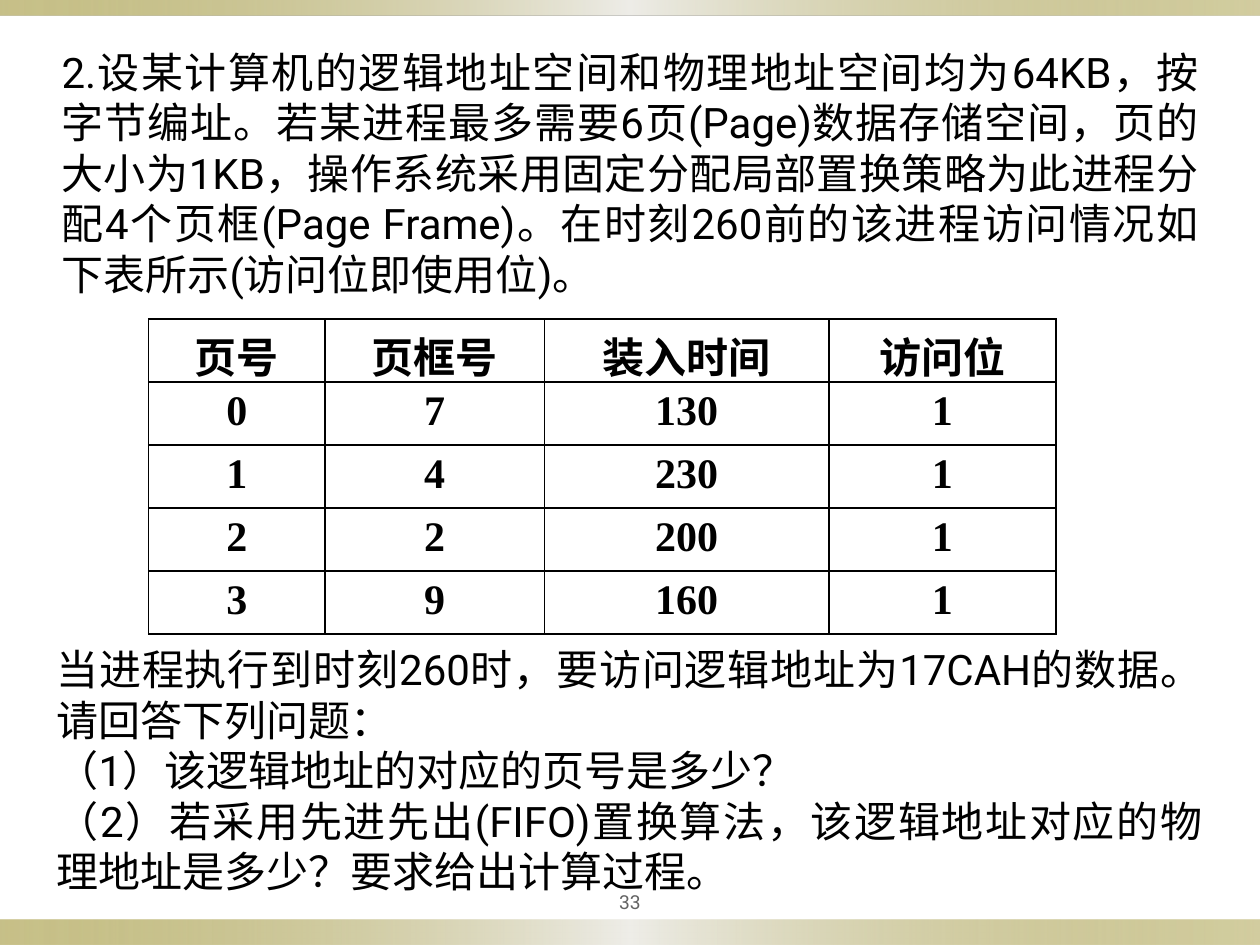
"""Build an exercise slide about page replacement with a page table."""
from dataclasses import dataclass

from lxml.etree import SubElement
from pptx import Presentation
from pptx.dml.color import RGBColor
from pptx.enum.shapes import MSO_SHAPE
from pptx.enum.text import MSO_ANCHOR, PP_ALIGN
from pptx.oxml import parse_xml
from pptx.oxml.ns import nsdecls, qn
from pptx.util import Inches, Pt

SLIDE_WIDTH, SLIDE_HEIGHT = Inches(10), Inches(7.5)
BLACK = RGBColor(0x00, 0x00, 0x00)
GRAY = RGBColor(0x63, 0x63, 0x63)
OLIVE = RGBColor(0x91, 0x84, 0x15)
SILVER = RGBColor(0xEE, 0xED, 0xE8)
BAND_STOPS = ((0, OLIVE, 50), (50, SILVER, 100), (100, OLIVE, 40))
COLUMN_WIDTHS = (1.4, 1.74, 2.26, 1.8)
ROW_HEIGHT = 0.5
PAGE_TABLE = (
    ("页号", "页框号", "装入时间", "访问位"),
    ("0", "7", "130", "1"),
    ("1", "4", "230", "1"),
    ("2", "2", "200", "1"),
    ("3", "9", "160", "1"),
)


@dataclass(frozen=True)
class Area:
    """A rectangle given in percent of the slide's width and height."""
    left: float
    top: float
    width: float
    height: float

    def lengths(self) -> tuple:
        """Return left, top, width and height as lengths."""
        return (int(SLIDE_WIDTH * self.left / 100), int(SLIDE_HEIGHT * self.top / 100),
                int(SLIDE_WIDTH * self.width / 100), int(SLIDE_HEIGHT * self.height / 100))


@dataclass(frozen=True)
class TextBlock:
    """Paragraphs that share one area and one format."""
    area: Area
    paragraphs: tuple
    size: int = 24
    color: RGBColor = BLACK
    alignment: PP_ALIGN = PP_ALIGN.JUSTIFY
    anchor: MSO_ANCHOR = MSO_ANCHOR.TOP


BANDS = (Area(0, 97.33, 100, 2.67), Area(0, 0, 100, 1.6))
TABLE_AREA = Area(11.8, 33.73, 72, 33.33)
TEXT_BLOCKS = (
    TextBlock(Area(45, 93.33, 10, 4.13), ("33",), 11, GRAY, PP_ALIGN.CENTER, MSO_ANCHOR.MIDDLE),
    TextBlock(Area(3.9, 4.27, 92.2, 28.27), (
        "2.设某计算机的逻辑地址空间和物理地址空间均为64KB，按字节编址。"
        "若某进程最多需要6页(Page)数据存储空间，页的大小为1KB，"
        "操作系统采用固定分配局部置换策略为此进程分配4个页框(Page Frame)。"
        "在时刻260前的该进程访问情况如下表所示(访问位即使用位)。",)),
    TextBlock(Area(3.5, 67.47, 92.9, 28.27), (
        "当进程执行到时刻260时，要访问逻辑地址为17CAH的数据。请回答下列问题：",
        "（1）该逻辑地址的对应的页号是多少？",
        "（2）若采用先进先出(FIFO)置换算法，该逻辑地址对应的物理地址是多少？要求给出计算过程。")),
)


def format_paragraph(paragraph, size: int, color: RGBColor, name: str,
                     alignment: PP_ALIGN, bold: bool = False) -> None:
    """Set the font and alignment of a paragraph."""
    paragraph.alignment = alignment
    paragraph.font.size = Pt(size)
    paragraph.font.name = name
    paragraph.font.bold = bold
    paragraph.font.color.rgb = color


def add_band(slide, area: Area) -> None:
    """Draw a band with a translucent horizontal gradient."""
    shape = slide.shapes.add_shape(MSO_SHAPE.RECTANGLE, *area.lengths())
    shape.shadow.inherit = False
    shape.line.fill.background()
    stops = "".join(
        f'<a:gs pos="{position * 1000}"><a:srgbClr val="{color}">'
        f'<a:alpha val="{opacity * 1000}"/></a:srgbClr></a:gs>'
        for position, color, opacity in BAND_STOPS)
    gradient = parse_xml(f'<a:gradFill {nsdecls("a")} rotWithShape="1"><a:gsLst>{stops}</a:gsLst>'
                         '<a:lin ang="0" scaled="0"/></a:gradFill>')
    shape.element.spPr.find(qn("a:prstGeom")).addnext(gradient)


def add_text_block(slide, block: TextBlock) -> None:
    """Draw a wrapped text box."""
    frame = slide.shapes.add_textbox(*block.area.lengths()).text_frame
    frame.word_wrap = True
    frame.vertical_anchor = block.anchor
    frame.text = "\n".join(block.paragraphs)
    for paragraph in frame.paragraphs:
        format_paragraph(paragraph, block.size, block.color, "Roboto", block.alignment)


def add_borders(cell) -> None:
    """Give a cell a thin black line on every side."""
    properties = cell._tc.get_or_add_tcPr()
    for index, side in enumerate(("lnL", "lnR", "lnT", "lnB")):
        line = parse_xml(f'<a:{side} {nsdecls("a")} w="{Pt(1)}"/>')
        fill = SubElement(line, qn("a:solidFill"))
        SubElement(fill, qn("a:srgbClr"), val=str(BLACK))
        properties.insert(index, line)


def add_page_table(slide) -> None:
    """Draw the table of pages and page frames."""
    table = slide.shapes.add_table(len(PAGE_TABLE), len(COLUMN_WIDTHS), *TABLE_AREA.lengths()).table
    table.first_row = table.horz_banding = False
    for column, width in zip(table.columns, COLUMN_WIDTHS):
        column.width = Inches(width)
    for row, values in zip(table.rows, PAGE_TABLE):
        row.height = Inches(ROW_HEIGHT)
        for cell, value in zip(row.cells, values):
            cell.text = value
            cell.fill.background()
            add_borders(cell)
            format_paragraph(cell.text_frame.paragraphs[0], 24, BLACK,
                             "Times New Roman", PP_ALIGN.CENTER, True)


def main() -> None:
    """Build and save the presentation."""
    presentation = Presentation()
    presentation.slide_width, presentation.slide_height = SLIDE_WIDTH, SLIDE_HEIGHT
    slide = presentation.slides.add_slide(presentation.slide_layouts[6])
    for area in BANDS:
        add_band(slide, area)
    for block in TEXT_BLOCKS:
        add_text_block(slide, block)
    add_page_table(slide)
    presentation.save("out.pptx")


if __name__ == "__main__":
    main()
